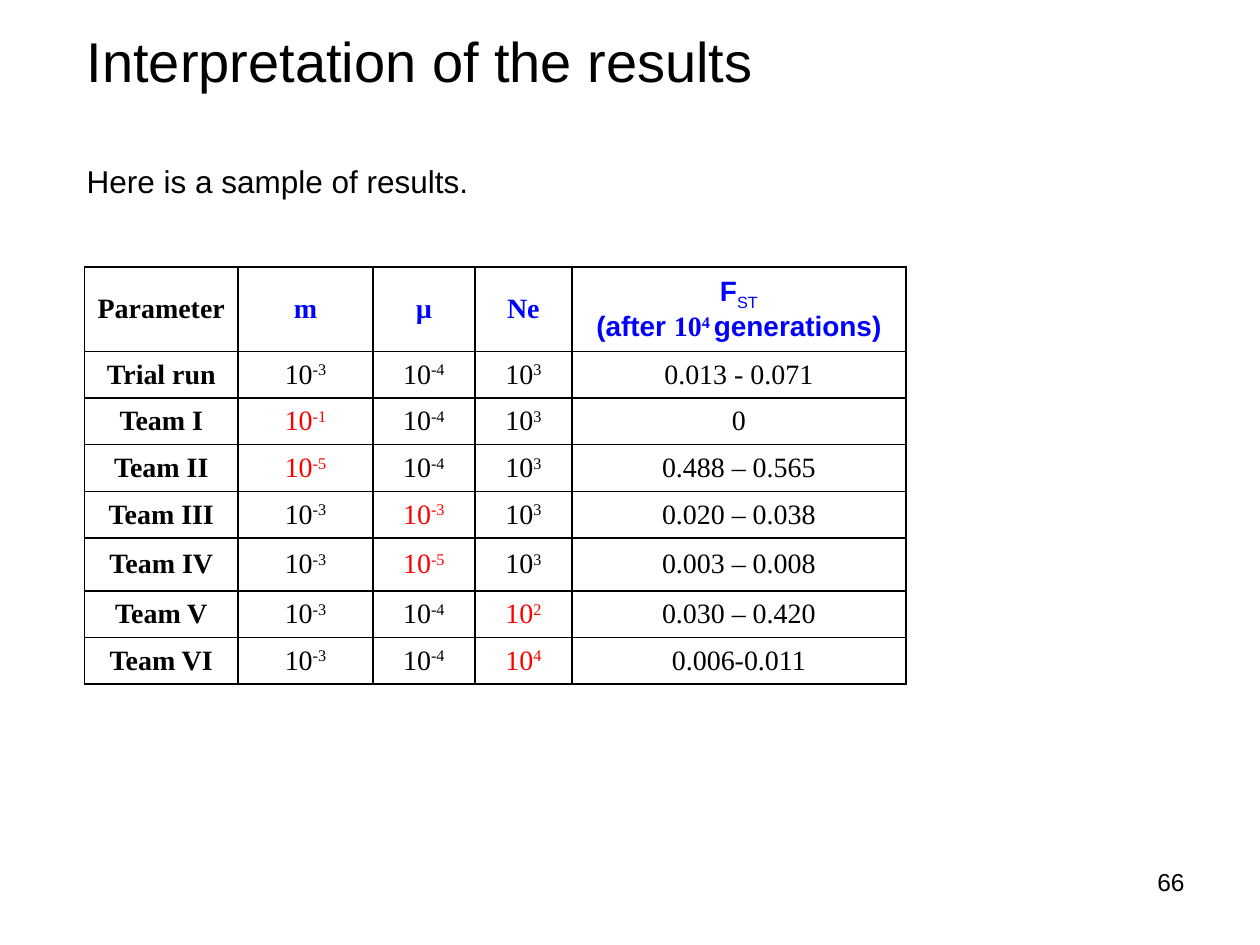
import dataclasses

import lxml.etree
import pptx
import pptx.dml.color
import pptx.enum.text
import pptx.oxml.ns
import pptx.util

Inches = pptx.util.Inches
Pt = pptx.util.Pt
Align = pptx.enum.text.PP_ALIGN
Anchor = pptx.enum.text.MSO_ANCHOR


@dataclasses.dataclass(frozen=True)
class Theme:
    sans: str = "Arial"
    serif: str = "Times New Roman"
    ink: str = "000000"
    heading: str = "0000FF"
    changed: str = "FF0000"
    title_size: int = 32
    body_size: int = 18
    table_size: int = 16
    number_size: int = 14
    border: float = 1
    superscript: int = 30
    subscript: int = -25


THEME = Theme()
TITLE = "Interpretation of the results"
INTRO = "Here is a sample of results."
PAGE_NUMBER = "66"
BODY_GAP = 38.7

HEADERS = ["Parameter", "m", "µ", "Ne"]
FST_HEADER = [
    [("F", THEME.sans, True, 0), ("ST", THEME.sans, False, THEME.subscript)],
    [
        ("(after ", THEME.sans, True, 0),
        ("10", THEME.serif, True, 0),
        ("4 ", THEME.serif, True, THEME.superscript),
        ("generations)", THEME.sans, True, 0),
    ],
]
RUNS = [
    ("Trial run", ("-3", "-4", "3"), "0.013 - 0.071"),
    ("Team I", ("-1", "-4", "3"), "0"),
    ("Team II", ("-5", "-4", "3"), "0.488 – 0.565"),
    ("Team III", ("-3", "-3", "3"), "0.020 – 0.038"),
    ("Team IV", ("-3", "-5", "3"), "0.003 – 0.008"),
    ("Team V", ("-3", "-4", "2"), "0.030 – 0.420"),
    ("Team VI", ("-3", "-4", "4"), "0.006-0.011"),
]
COLUMN_WIDTHS = [1.22, 1.07, 0.81, 0.77, 2.65]
ROW_HEIGHTS = [0.63, 0.37, 0.37, 0.37, 0.37, 0.42, 0.37, 0.37]


def add_span(para, text, size, font=THEME.sans, color=THEME.ink, bold=False, baseline=0):
    span = para.add_run()
    span.text = text
    span.font.size = Pt(size)
    span.font.name = font
    span.font.bold = bold
    span.font.color.rgb = pptx.dml.color.RGBColor.from_string(color)
    if baseline:
        span.font._element.set("baseline", str(baseline * 1000))


def add_box(page, left, top, width, height, anchor):
    box = page.shapes.add_textbox(Inches(left), Inches(top), Inches(width), Inches(height))
    box.text_frame.word_wrap = True
    box.text_frame.vertical_anchor = anchor
    return box.text_frame


def add_borders(cell):
    properties = cell._tc.get_or_add_tcPr()
    qn = pptx.oxml.ns.qn
    for position, side in enumerate(("lnL", "lnR", "lnT", "lnB")):
        line = lxml.etree.Element(qn(f"a:{side}"), w=str(Pt(THEME.border)))
        fill = lxml.etree.SubElement(line, qn("a:solidFill"))
        lxml.etree.SubElement(fill, qn("a:srgbClr"), val=THEME.ink)
        properties.insert(position, line)


def fill_cell(cell, lines, color=THEME.ink):
    cell.vertical_anchor = Anchor.MIDDLE
    cell.fill.background()
    add_borders(cell)
    for index, spans in enumerate(lines):
        frame = cell.text_frame
        para = frame.add_paragraph() if index else frame.paragraphs[0]
        para.alignment = Align.CENTER
        for text, font, bold, baseline in spans:
            add_span(para, text, THEME.table_size, font, color, bold, baseline)


def serif_line(text, bold=False):
    return [[(text, THEME.serif, bold, 0)]]


def power_of_ten(exponent):
    return [[("10", THEME.serif, False, 0), (exponent, THEME.serif, False, THEME.superscript)]]


def add_results(page):
    table = page.shapes.add_table(
        len(ROW_HEIGHTS), len(COLUMN_WIDTHS), Inches(0.67), Inches(2.12),
        Inches(sum(COLUMN_WIDTHS)), Inches(sum(ROW_HEIGHTS)),
    ).table
    table.horz_banding = False
    table.first_row = False
    for column, width in zip(table.columns, COLUMN_WIDTHS):
        column.width = Inches(width)
    for row, height in zip(table.rows, ROW_HEIGHTS):
        row.height = Inches(height)

    header_lines = [serif_line(text, True) for text in HEADERS] + [FST_HEADER]
    for column, lines in enumerate(header_lines):
        fill_cell(table.cell(0, column), lines, THEME.heading if column else THEME.ink)

    trial = RUNS[0][1]
    for row, (name, exponents, fst) in enumerate(RUNS, start=1):
        fill_cell(table.cell(row, 0), serif_line(name, True))
        for column, (exponent, usual) in enumerate(zip(exponents, trial), start=1):
            color = THEME.ink if exponent == usual else THEME.changed
            fill_cell(table.cell(row, column), power_of_ten(exponent), color)
        fill_cell(table.cell(row, len(HEADERS)), serif_line(fst))


def main():
    """Build the slide of sample results and save it."""
    deck = pptx.Presentation()
    deck.slide_width, deck.slide_height = Inches(10), Inches(7.5)
    page = deck.slides.add_slide(deck.slide_layouts[6])

    heading = add_box(page, 0.59, 0.13, 8.43, 1.54, Anchor.MIDDLE)
    add_span(heading.paragraphs[0], TITLE, THEME.title_size)
    intro = heading.add_paragraph()
    intro.space_before = Pt(BODY_GAP)
    add_span(intro, INTRO, THEME.body_size)

    add_results(page)

    number = add_box(page, 7.17, 6.83, 2.33, 0.52, Anchor.TOP).paragraphs[0]
    number.alignment = Align.RIGHT
    add_span(number, PAGE_NUMBER, THEME.number_size)
    deck.save("out.pptx")


if __name__ == "__main__":
    main()
